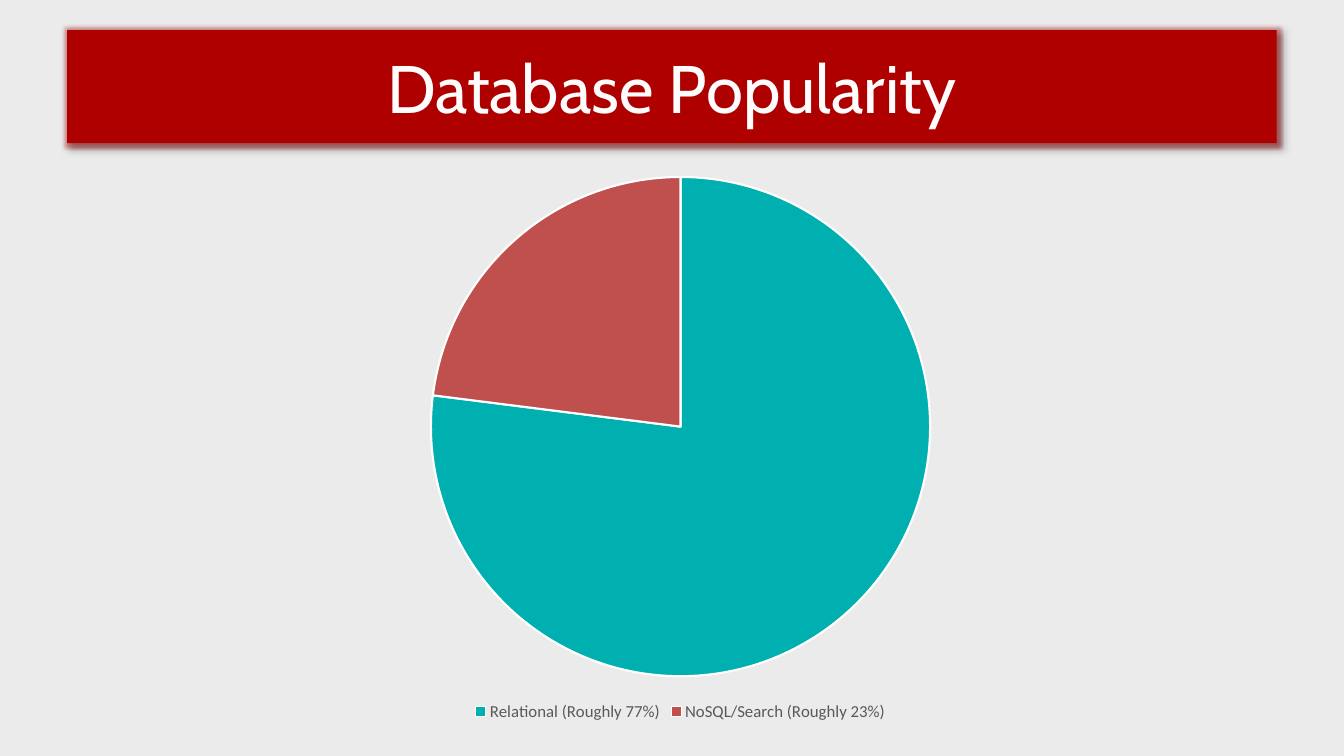
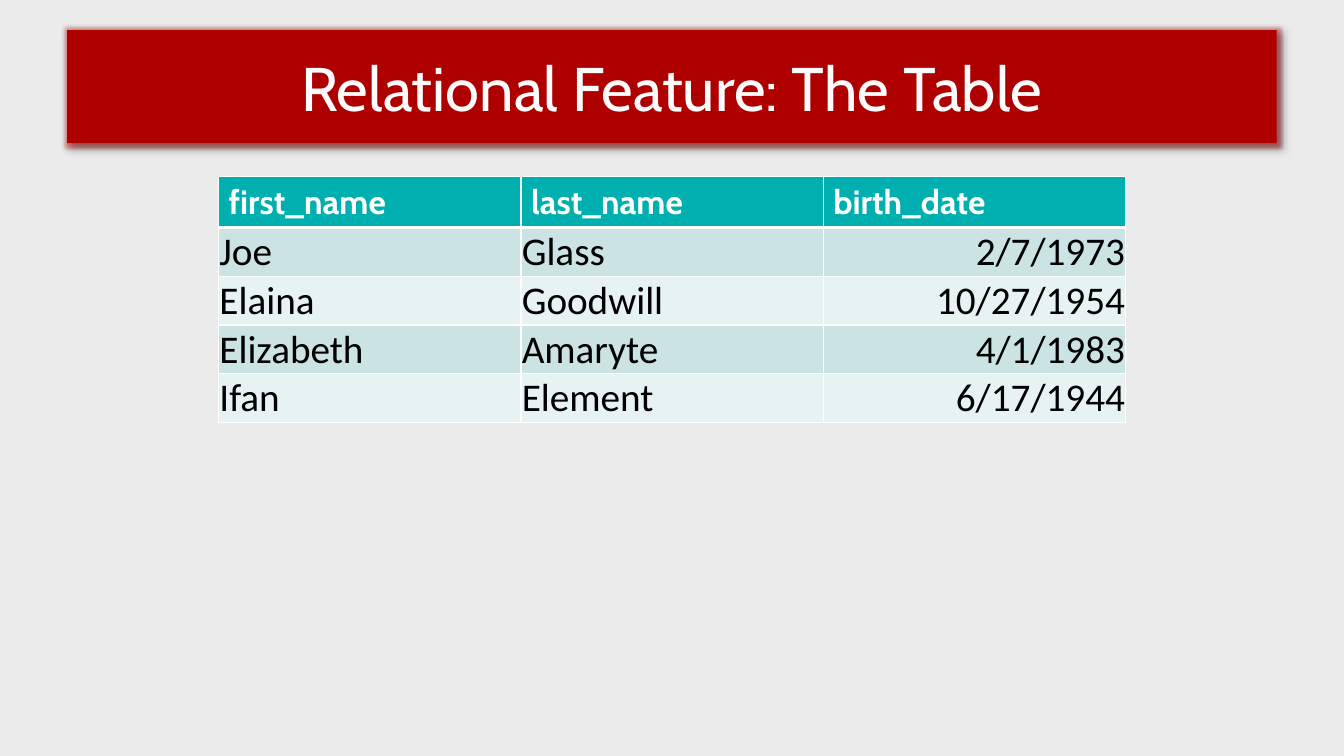
from lxml.etree import SubElement
from pptx import Presentation
from pptx.chart.data import CategoryChartData
from pptx.dml.color import RGBColor
from pptx.enum.chart import XL_CHART_TYPE, XL_LEGEND_POSITION
from pptx.enum.text import MSO_ANCHOR, PP_ALIGN
from pptx.oxml import parse_xml
from pptx.oxml.ns import nsdecls, qn
from pptx.util import Cm, Pt

RED = RGBColor(0xAF, 0x00, 0x00)
TEAL = RGBColor(0x00, 0xAF, 0xAF)
BRICK = RGBColor(0xC0, 0x50, 0x4D)
PALE = RGBColor(0xE7, 0xF2, 0xF2)
MIST = RGBColor(0xCC, 0xE3, 0xE3)
PAPER = RGBColor(0xEB, 0xEB, 0xEB)
SNOW = RGBColor(0xFE, 0xFC, 0xFC)
WHITE = RGBColor(0xFF, 0xFF, 0xFF)
GREY = RGBColor(0x59, 0x59, 0x59)
BLACK = RGBColor(0x00, 0x00, 0x00)
HEAD = "Cabin"
BODY = "Calibri"


class Deck:
    """Holds the shared style and the current slide."""

    def __init__(self):
        self.prs = Presentation()
        self.prs.slide_width, self.prs.slide_height = Cm(33.87), Cm(19.05)
        back = self.prs.slide_master.background.fill
        back.solid()
        back.fore_color.rgb = PAPER
        self.slide = None

    def style(self, font, name, size, color, bold=False):
        font.name, font.size, font.bold = name, Pt(size), bold
        font.color.rgb = color

    def add(self, title, size):
        self.slide = self.prs.slides.add_slide(self.prs.slide_layouts[5])
        band = self.slide.shapes.title
        band.left, band.top = Cm(1.69), Cm(0.76)
        band.width, band.height = Cm(30.48), Cm(2.85)
        band.fill.solid()
        band.fill.fore_color.rgb = RED
        frame = band.text_frame
        frame.text = title
        frame.word_wrap = False
        frame.vertical_anchor = MSO_ANCHOR.MIDDLE
        para = frame.paragraphs[0]
        para.alignment = PP_ALIGN.CENTER
        self.style(para.font, HEAD, size, SNOW)
        self.glow(band)

    def glow(self, band):
        band.element.spPr.append(parse_xml(
            f'<a:effectLst {nsdecls("a")}>'
            f'<a:glow rad="{Pt(5)}"><a:srgbClr val="{RED}">'
            '<a:alpha val="40000"/></a:srgbClr></a:glow>'
            f'<a:outerShdw blurRad="{Pt(4)}" dist="{Pt(3)}" dir="2700000">'
            f'<a:srgbClr val="{BLACK}"><a:alpha val="40000"/></a:srgbClr>'
            '</a:outerShdw></a:effectLst>'))
        for props in band.element.iter(qn("a:defRPr")):
            props.insert(0, parse_xml(
                f'<a:ln {nsdecls("a")} w="{Pt(0.75)}"><a:solidFill>'
                f'<a:srgbClr val="{WHITE}"/></a:solidFill></a:ln>'))

    def pie(self, parts, colors):
        data = CategoryChartData()
        data.categories = list(parts)
        data.add_series("Series 1", list(parts.values()))
        chart = self.slide.shapes.add_chart(
            XL_CHART_TYPE.PIE, Cm(5.72), Cm(4.11), Cm(22.86), Cm(14.17),
            data).chart
        chart.has_title = False
        self.style(chart.font, BODY, 10, BLACK)
        chart.has_legend = True
        chart.legend.position = XL_LEGEND_POSITION.BOTTOM
        chart.legend.include_in_layout = False
        self.style(chart.legend.font, BODY, 12, GREY)
        plot = chart.plots[0]
        plot.vary_by_categories = True
        for index, color in enumerate(colors):
            form = plot.series[0].points[index].format
            form.fill.solid()
            form.fill.fore_color.rgb = color
            form.line.color.rgb = WHITE
            form.line.width = Pt(1.5)

    def grid(self, rows):
        count = len(rows[0])
        table = self.slide.shapes.add_table(
            len(rows), count, Cm(5.51), Cm(4.45), Cm(7.62 * count),
            Cm(1.04 * len(rows))).table
        for r, row in enumerate(rows):
            for c, text in enumerate(row):
                cell = table.cell(r, c)
                cell.text = text
                para = cell.text_frame.paragraphs[0]
                cell.fill.solid()
                if r == 0:
                    cell.fill.fore_color.rgb = TEAL
                    self.style(para.font, HEAD, 24, WHITE, True)
                else:
                    cell.fill.fore_color.rgb = MIST if r % 2 else PALE
                    self.style(para.font, BODY, 28, BLACK)
                    cell.vertical_anchor = MSO_ANCHOR.BOTTOM
                    cell.margin_left = cell.margin_right = Cm(0.02)
                    cell.margin_top, cell.margin_bottom = Cm(0.02), 0
                    if c == count - 1:
                        para.alignment = PP_ALIGN.RIGHT
                self.rule(cell, 3 if r == 1 else 1, 3 if r == 0 else 1)

    def rule(self, cell, top, bottom):
        props = cell.fill._xPr
        sides = {"L": 1, "R": 1, "T": top, "B": bottom}
        for index, (side, width) in enumerate(sides.items()):
            line = SubElement(props, qn(f"a:ln{side}"), w=str(Pt(width)))
            fill = SubElement(line, qn("a:solidFill"))
            SubElement(fill, qn("a:srgbClr"), val=str(WHITE))
            props.insert(index, line)

    def save(self):
        self.prs.save("out.pptx")


def main():
    deck = Deck()
    deck.add("Database Popularity", 48)
    deck.pie({"Relational (Roughly 77%)": 77,
              "NoSQL/Search (Roughly 23%)": 23}, (TEAL, BRICK))
    deck.add("Relational Feature: The Table", 44)
    deck.grid((("first_name", "last_name", "birth_date"),
               ("Joe", "Glass", "2/7/1973"),
               ("Elaina", "Goodwill", "10/27/1954"),
               ("Elizabeth", "Amaryte", "4/1/1983"),
               ("Ifan", "Element", "6/17/1944")))
    deck.save()


if __name__ == "__main__":
    main()
